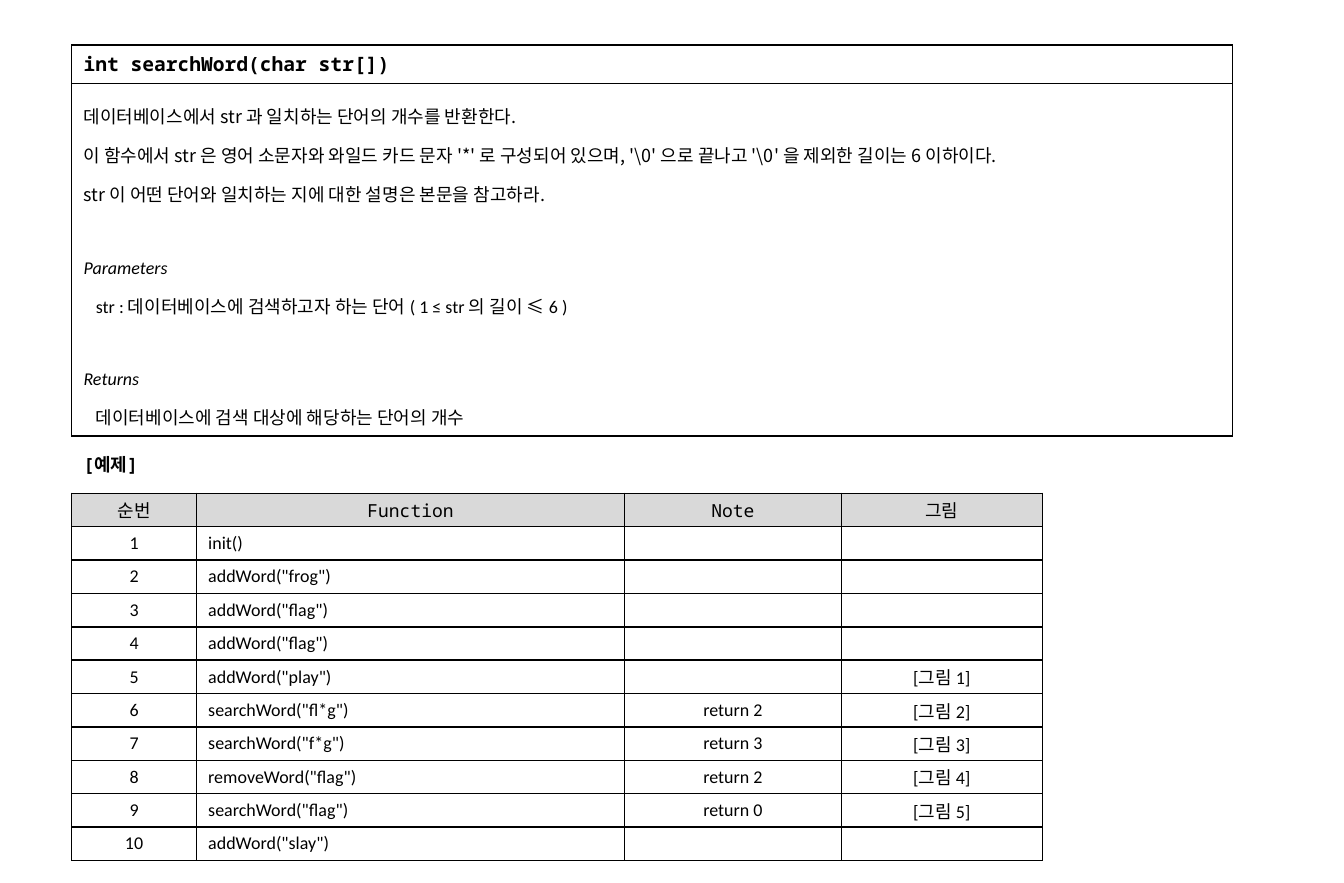
import pptx
import pptx.util
import pptx.dml.color
import pptx.enum.text
import pptx.oxml.ns
import lxml.etree
from dataclasses import dataclass

Pt = pptx.util.Pt
qn = pptx.oxml.ns.qn
ALIGN = pptx.enum.text.PP_ALIGN
MIDDLE = pptx.enum.text.MSO_ANCHOR.MIDDLE


@dataclass(frozen=True)
class Theme:
    ink: str = "000000"
    header_fill: str = "D9D9D9"
    mono: str = "Noto Sans Mono"
    korean: str = "Noto Sans CJK KR"
    plain: str = "Calibri"
    title_size: int = 12
    text_size: int = 11
    border: int = 1


THEME = Theme()

SIGNATURE = "int searchWord(char str[])"
DESCRIPTION = [
    ("데이터베이스에서 str 과 일치하는 단어의 개수를 반환한다.", THEME.korean, False, 0, 0),
    ("이 함수에서 str 은 영어 소문자와 와일드 카드 문자 '*' 로 구성되어 있으며, '\\0' 으로 끝나고 '\\0' 을 제외한 길이는 6 이하이다.",
     THEME.korean, False, 0, 0),
    ("str 이 어떤 단어와 일치하는 지에 대한 설명은 본문을 참고하라.", THEME.korean, False, 0, 0),
    ("Parameters", THEME.plain, True, 0, 24),
    ("str : 데이터베이스에 검색하고자 하는 단어 ( 1 ≤ str 의 길이 ≤ 6 )", THEME.plain, False, 7.5, 0),
    ("Returns", THEME.plain, True, 0, 24),
    ("데이터베이스에 검색 대상에 해당하는 단어의 개수", THEME.plain, False, 7.5, 0),
]
EXAMPLE_HEADER = ["순번", "Function", "Note", "그림"]
EXAMPLE_CALLS = [
    ("init()", "", ""),
    ('addWord("frog")', "", ""),
    ('addWord("flag")', "", ""),
    ('addWord("flag")', "", ""),
    ('addWord("play")', "", "[그림 1]"),
    ('searchWord("fl*g")', "return 2", "[그림 2]"),
    ('searchWord("f*g")', "return 3", "[그림 3]"),
    ('removeWord("flag")', "return 2", "[그림 4]"),
    ('searchWord("flag")', "return 0", "[그림 5]"),
    ('addWord("slay")', "", ""),
]


def write(para, text, face, size=THEME.text_size, bold=False, italic=False):
    para.text = text
    for span in para.runs:
        span.font.name = face
        span.font.size = Pt(size)
        span.font.bold = bold
        span.font.italic = italic
        span.font.color.rgb = pptx.dml.color.RGBColor.from_string(THEME.ink)
        lxml.etree.SubElement(span.font._element, qn("a:ea"), typeface=THEME.korean)
    if not text:
        lxml.etree.SubElement(para._p, qn("a:endParaRPr"), sz=str(size * 100))


def dress_cell(cell, fill=None):
    properties = cell._tc.get_or_add_tcPr()
    for side in ("lnL", "lnR", "lnT", "lnB"):
        line = lxml.etree.SubElement(properties, qn("a:" + side), w=str(Pt(THEME.border)))
        paint = lxml.etree.SubElement(line, qn("a:solidFill"))
        lxml.etree.SubElement(paint, qn("a:srgbClr"), val=THEME.ink)
    if fill:
        cell.fill.solid()
        cell.fill.fore_color.rgb = pptx.dml.color.RGBColor.from_string(fill)
    else:
        cell.fill.background()


def add_grid(page, left, top, widths, heights):
    frame = page.shapes.add_table(len(heights), len(widths), Pt(left), Pt(top),
                                  Pt(sum(widths)), Pt(sum(heights)))
    table = frame.table
    table.first_row = False
    table.horz_banding = False
    for column, width in zip(table.columns, widths):
        column.width = Pt(width)
    for row, height in zip(table.rows, heights):
        row.height = Pt(height)
    return table


def add_description(page, left, top, width):
    table = add_grid(page, left, top, [width], [22.3, 188.7])
    heading, body = table.cell(0, 0), table.cell(1, 0)
    dress_cell(heading)
    dress_cell(body)
    heading.vertical_anchor = MIDDLE
    write(heading.text_frame.paragraphs[0], SIGNATURE, THEME.mono, THEME.title_size, bold=True)
    body.text_frame.text = "\n".join(entry[0] for entry in DESCRIPTION)
    for para, (text, face, italic, indent, gap) in zip(body.text_frame.paragraphs, DESCRIPTION):
        write(para, text, face, italic=italic)
        para.line_spacing = 1.5
        if gap:
            para.space_before = Pt(gap)
        if indent:
            properties = para._p.get_or_add_pPr()
            properties.set("marL", str(Pt(indent)))
            properties.set("indent", "0")


def add_example_label(page, left, top, width, height):
    box = page.shapes.add_textbox(Pt(left), Pt(top), Pt(width), Pt(height))
    box.text_frame.word_wrap = True
    para = box.text_frame.paragraphs[0]
    write(para, "[예제]", THEME.mono, bold=True)
    para.line_spacing = 1.3


def add_example_table(page, left, top, widths, row_height):
    rows = [EXAMPLE_HEADER]
    rows += [(str(number), *call) for number, call in enumerate(EXAMPLE_CALLS, 1)]
    table = add_grid(page, left, top, widths, [row_height] * len(rows))
    for row_index, row in enumerate(rows):
        is_header = row_index == 0
        for column_index, text in enumerate(row):
            cell = table.cell(row_index, column_index)
            dress_cell(cell, THEME.header_fill if is_header else None)
            cell.vertical_anchor = MIDDLE
            cell.margin_top = cell.margin_bottom = Pt(2)
            para = cell.text_frame.paragraphs[0]
            write(para, text, THEME.mono if is_header else THEME.plain)
            is_call = column_index == 1 and not is_header
            para.alignment = ALIGN.LEFT if is_call else ALIGN.CENTER


def main():
    deck = pptx.Presentation()
    deck.slide_width, deck.slide_height = Pt(822.24), Pt(540)
    page = deck.slides.add_slide(deck.slide_layouts[6])
    left = 43.9
    add_description(page, left, 27.4, 710)
    add_example_label(page, left, 270, 700, 23)
    add_example_table(page, left, 301.7, [76.3, 262, 132.5, 123], 20.42)
    deck.save("out.pptx")


if __name__ == "__main__":
    main()
